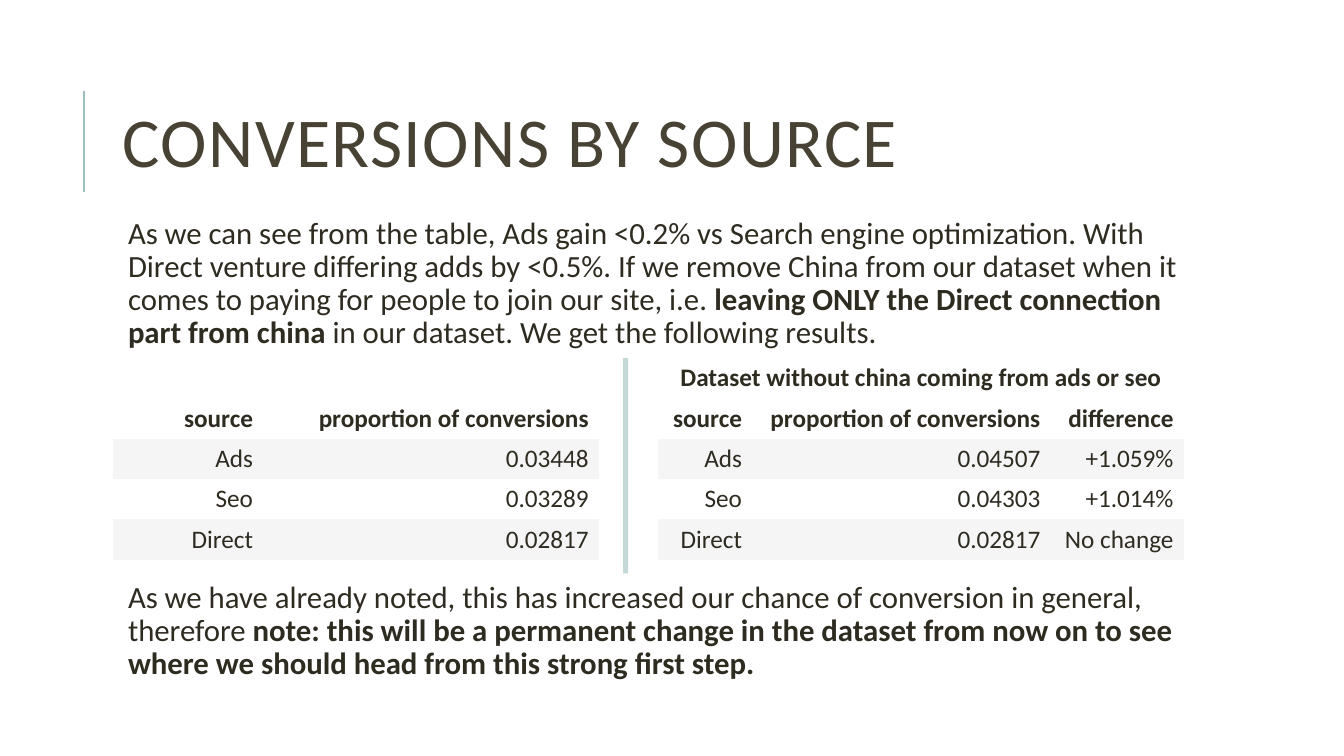
from lxml import etree
from pptx import Presentation
from pptx.dml.color import RGBColor
from pptx.enum.shapes import MSO_CONNECTOR, MSO_SHAPE
from pptx.enum.text import MSO_ANCHOR, PP_ALIGN
from pptx.oxml.ns import qn
from pptx.util import Inches, Pt

FONT = "Calibri"
TITLE, TEXT = "474233", "2E2B21"
ACCENT, DIVIDER = "9CBEBD", "C4D8D7"
WHITE, BAND = "FFFFFF", "F5F5F5"
LEFT, WIDTH = 1.12, 10.63
ROW_HEIGHT = 0.4
PLAIN_STYLE = "{2D5ABB26-0587-4C30-8999-92F81FD0307C}"

INTRO = [
    ("As we can see from the table, Ads gain <0.2% vs Search engine optimization. "
     "With Direct venture differing adds by <0.5%. If we remove China from our dataset "
     "when it comes to paying for people to join our site, i.e. ", False),
    ("leaving ONLY the Direct connection part from china", True),
    (" in our dataset. We get the following results.", False),
]
CONCLUSION = [
    ("As we have already noted, this has increased our chance of conversion in general, "
     "therefore ", False),
    ("note: this will be a permanent change in the dataset from now on to see where we "
     "should head from this strong first step.", True),
]
ALL_SOURCES = [
    ("source", "proportion of conversions"),
    ("Ads", "0.03448"),
    ("Seo", "0.03289"),
    ("Direct", "0.02817"),
]
WITHOUT_CHINA = [
    ("source", "proportion of conversions", "difference"),
    ("Ads", "0.04507", "+1.059%"),
    ("Seo", "0.04303", "+1.014%"),
    ("Direct", "0.02817", "No change"),
]


def color(value):
    return RGBColor.from_string(value)


def set_font(p, size, value, bold=None):
    p.font.name = FONT
    p.font.size = Pt(size)
    p.font.color.rgb = color(value)
    p.font.bold = bold


def add_text_frame(s, top, height):
    box = s.shapes.add_textbox(Inches(LEFT), Inches(top), Inches(WIDTH), Inches(height))
    tf = box.text_frame
    tf.word_wrap = True
    return tf


def add_title(s, text):
    tf = add_text_frame(s, 0.64, 1.64)
    tf.vertical_anchor = MSO_ANCHOR.MIDDLE
    p = tf.paragraphs[0]
    p.line_spacing = 0.8
    set_font(p, 50, TITLE)
    r = p.add_run()
    r.text = text
    r.font._element.set("spc", "100")  # letter spacing of 1 pt


def add_body(s, runs, top, height):
    tf = add_text_frame(s, top, height)
    tf.margin_left = Inches(0.15)
    tf.margin_right = tf.margin_top = tf.margin_bottom = Inches(0.05)
    p = tf.paragraphs[0]
    p.line_spacing = 0.9
    set_font(p, 22, TEXT)
    for text, bold in runs:
        r = p.add_run()
        r.text = text
        r.font.bold = bold


def fill_cell(cell, text, fill, bold, align=PP_ALIGN.RIGHT):
    cell.fill.solid()
    cell.fill.fore_color.rgb = color(fill)
    cell.vertical_anchor = MSO_ANCHOR.MIDDLE
    p = cell.text_frame.paragraphs[0]
    p.alignment = align
    set_font(p, 18, TEXT, bold)
    p.add_run().text = text


def add_table(s, left, top, widths, rows, caption=None):
    first = 1 if caption else 0
    count = len(rows) + first
    table = s.shapes.add_table(count, len(widths), Inches(left), Inches(top),
                               Inches(sum(widths)), Inches(ROW_HEIGHT * count)).table
    table.horz_banding = False
    table._tbl.tblPr.find(qn("a:tableStyleId")).text = PLAIN_STYLE
    for column, width in zip(table.columns, widths):
        column.width = Inches(width)
    for row in table.rows:
        row.height = Inches(ROW_HEIGHT)
    if caption:
        table.cell(0, 0).merge(table.cell(0, len(widths) - 1))
        fill_cell(table.cell(0, 0), caption, WHITE, True, PP_ALIGN.CENTER)
    for i, values in enumerate(rows):
        for j, value in enumerate(values):
            fill_cell(table.cell(i + first, j), value, BAND if i % 2 else WHITE, i == 0)


def add_title_rule(s):
    rule = s.shapes.add_connector(MSO_CONNECTOR.STRAIGHT, Inches(0.83), Inches(1.9),
                                  Inches(0.83), Inches(0.9))
    rule.line.color.rgb = color(ACCENT)
    rule.line.width = Pt(1.5)
    etree.SubElement(rule._element.spPr, qn("a:effectLst"))


def add_divider(s):
    sp = s.shapes.add_shape(MSO_SHAPE.RECTANGLE, Inches(6.18), Inches(3.55),
                            Inches(0.05), Inches(2.14))
    sp.shadow.inherit = False
    sp.fill.solid()
    sp.fill.fore_color.rgb = color(DIVIDER)
    sp.line.fill.background()


def main():
    prs = Presentation()
    prs.slide_width, prs.slide_height = Inches(13.33), Inches(7.5)
    s = prs.slides.add_slide(prs.slide_layouts[6])

    # Heading
    add_title_rule(s)
    add_title(s, "CONVERSIONS BY SOURCE")

    # Text above and below the tables
    add_body(s, INTRO, 2.11, 1.4)
    add_body(s, CONCLUSION, 5.72, 1.18)

    # Tables side by side
    add_table(s, LEFT, 3.95, [1.49, 3.33], ALL_SOURCES)
    add_table(s, 6.53, 3.55, [0.93, 2.96, 1.32], WITHOUT_CHINA,
              "Dataset without china coming from ads or seo")
    add_divider(s)

    prs.save("out.pptx")


if __name__ == "__main__":
    main()
